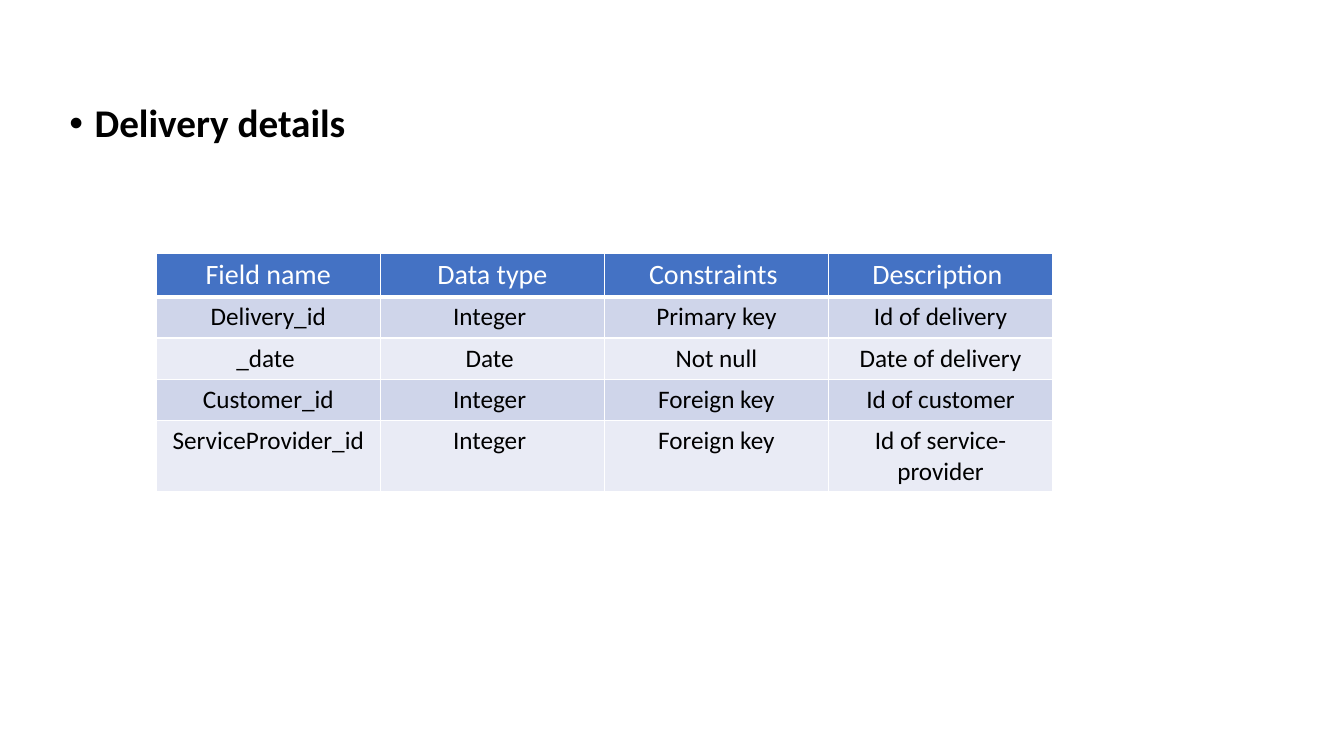
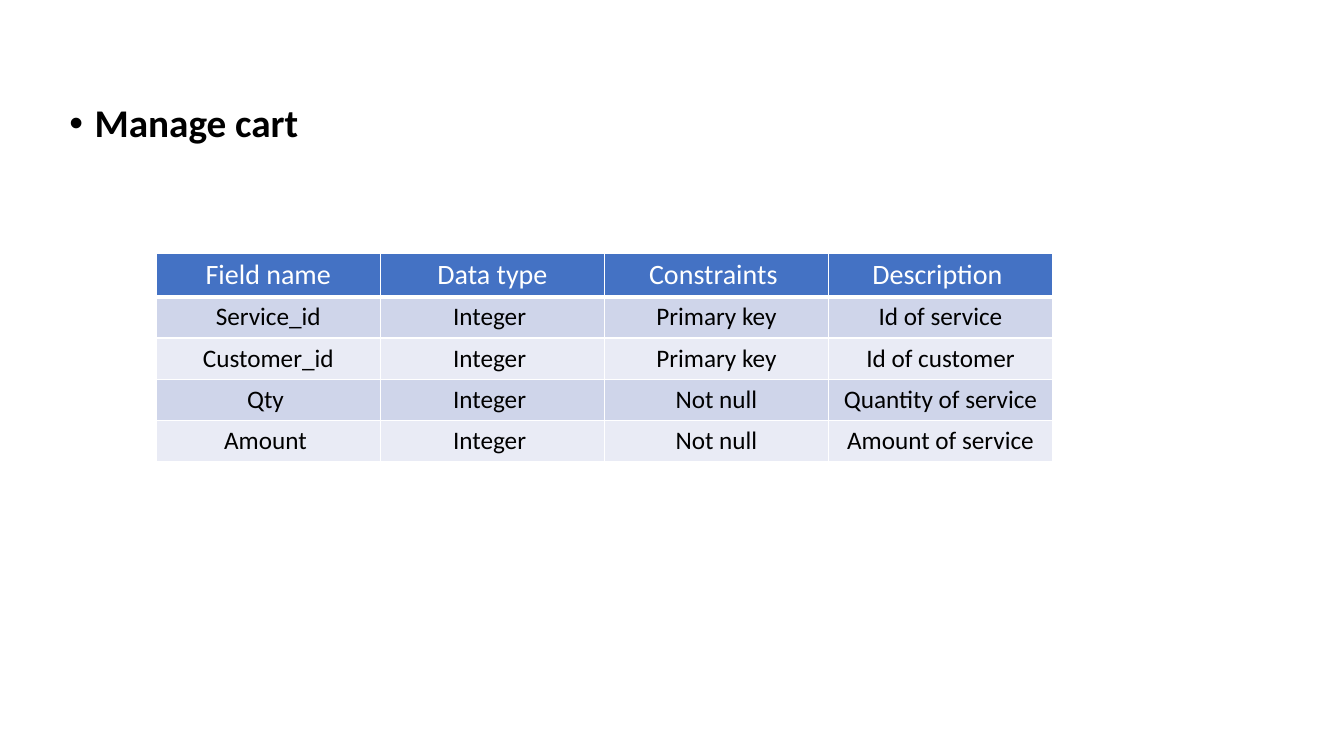
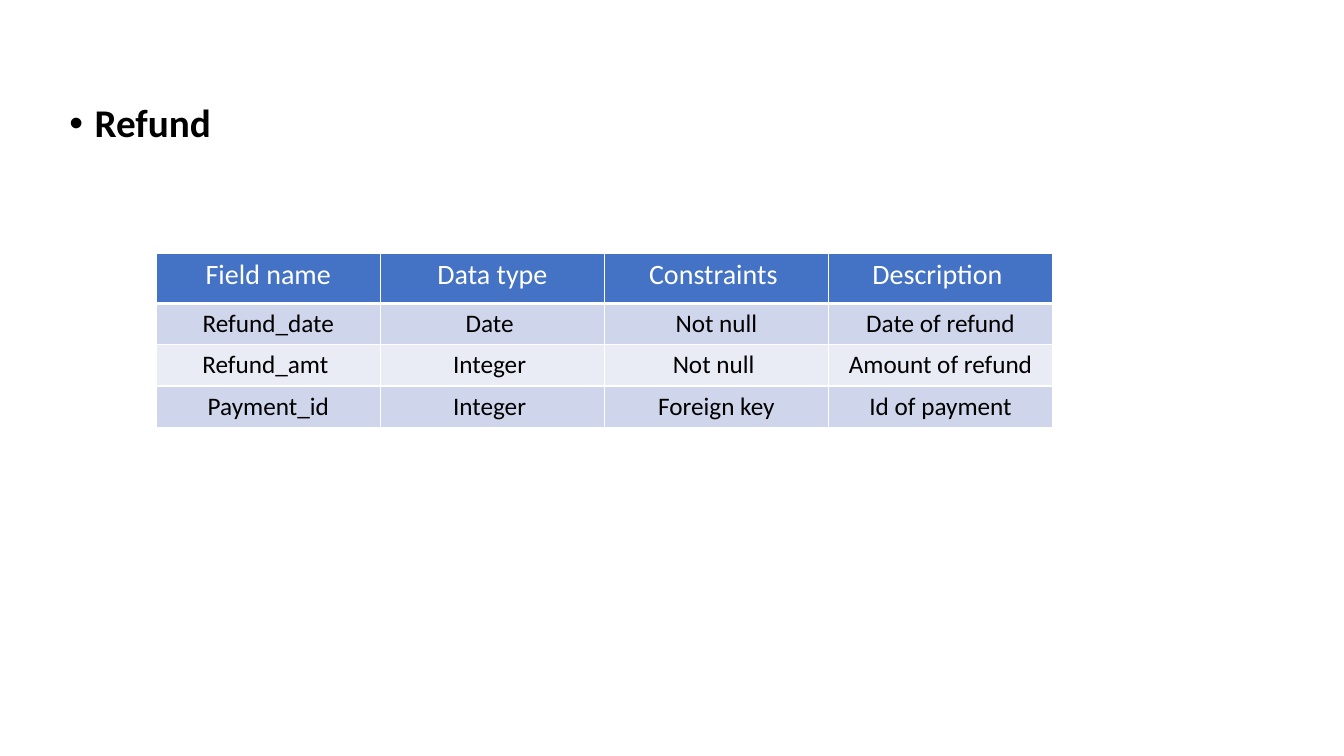
from lxml import etree
from pptx import Presentation
from pptx.dml.color import RGBColor
from pptx.enum.text import PP_ALIGN
from pptx.oxml.ns import qn
from pptx.util import Inches, Pt

CENTER = PP_ALIGN.CENTER
LEFT = PP_ALIGN.LEFT
HEAD = ["Field name", "Data type", "Constraints ", "Description "]
TABLES = [
    ("Delivery details", 0.43, [
        ["Delivery_id", "Integer ", "Primary key", "Id of delivery"],
        ["_date ", "Date ", "Not null", "Date of delivery"],
        ["Customer_id", "Integer ", "Foreign key", "Id of customer"],
        ["ServiceProvider_id", "Integer ", "Foreign key", "Id of service-provider"],
    ]),
    ("Manage cart", 0.43, [
        ["Service_id", "Integer ", "Primary key", "Id of service"],
        ["Customer_id", "Integer ", "Primary key", "Id of customer"],
        ["Qty ", "Integer ", "Not null", "Quantity of service"],
        ["Amount ", "Integer ", "Not null", "Amount of service"],
    ]),
    ("Refund", 0.5, [
        ["Refund_date", "Date ", "Not null", "Date of refund"],
        ["Refund_amt ", "Integer ", "Not null ", "Amount of refund"],
        ["Payment_id", "Integer ", "Foreign key", "Id of payment"],
    ]),
]


def color(code):
    return RGBColor.from_string(code)


class Deck:
    """Holds the shared style and the current slide."""

    BLUE, WHITE, BLACK = "4472C4", "FFFFFF", "000000"
    BANDS = ["CFD5EA", "E9EBF5"]
    TITLE = {"name": "Calibri", "size": Pt(28), "bold": True}
    LABEL = {"name": "Calibri", "size": Pt(20), "bold": False}
    BODY = {"name": "Calibri", "size": Pt(18), "bold": False}

    def __init__(self):
        self.prs = Presentation()
        self.prs.slide_width = Inches(13.33)
        self.prs.slide_height = Inches(7.5)

    def page(self):
        self.slide = self.prs.slides.add_slide(self.prs.slide_layouts[6])

    def label(self, para, text, form, ink, align):
        para.alignment = align
        run = para.add_run()
        run.text = text
        for key, value in form.items():
            setattr(run.font, key, value)
        run.font.color.rgb = color(ink)

    def title(self, text):
        box = self.slide.shapes.add_textbox(
            Inches(0.59), Inches(0.98), Inches(11.5), Inches(4.76))
        box.text_frame.word_wrap = True
        para = box.text_frame.paragraphs[0]
        props = para._p.get_or_add_pPr()
        props.set("marL", str(Inches(0.25)))
        props.set("indent", str(-Inches(0.25)))
        etree.SubElement(props, qn("a:buFont"), typeface="Arial")
        etree.SubElement(props, qn("a:buChar"), char="•")
        para.line_spacing = 0.9
        self.label(para, text, self.TITLE, self.BLACK, LEFT)

    def border(self, cell, base):
        props = cell._tc.get_or_add_tcPr()
        for side, width in zip("LRTB", [1, 1, 1, base]):
            line = etree.SubElement(props, qn("a:ln" + side), w=str(Pt(width)))
            fill = etree.SubElement(line, qn("a:solidFill"))
            etree.SubElement(fill, qn("a:srgbClr"), val=self.WHITE)

    def cell(self, cell, text, row):
        self.border(cell, 1 if row else 3)
        cell.fill.solid()
        cell.fill.fore_color.rgb = color(self.BANDS[(row - 1) % 2] if row else self.BLUE)
        form, ink = (self.BODY, self.BLACK) if row else (self.LABEL, self.WHITE)
        self.label(cell.text_frame.paragraphs[0], text, form, ink, CENTER)

    def table(self, top, rows):
        high = [top] + [0.41] * len(rows)
        grid = self.slide.shapes.add_table(
            len(high), len(HEAD), Inches(1.55), Inches(2.51),
            Inches(8.89), Inches(sum(high))).table
        grid.first_row = grid.horz_banding = False
        for r, texts in enumerate([HEAD] + rows):
            grid.rows[r].height = Inches(high[r])
            for c, text in enumerate(texts):
                self.cell(grid.cell(r, c), text, r)


def main():
    deck = Deck()
    for name, top, rows in TABLES:
        deck.page()
        deck.title(name)
        deck.table(top, rows)
    deck.prs.save("out.pptx")


if __name__ == "__main__":
    main()
